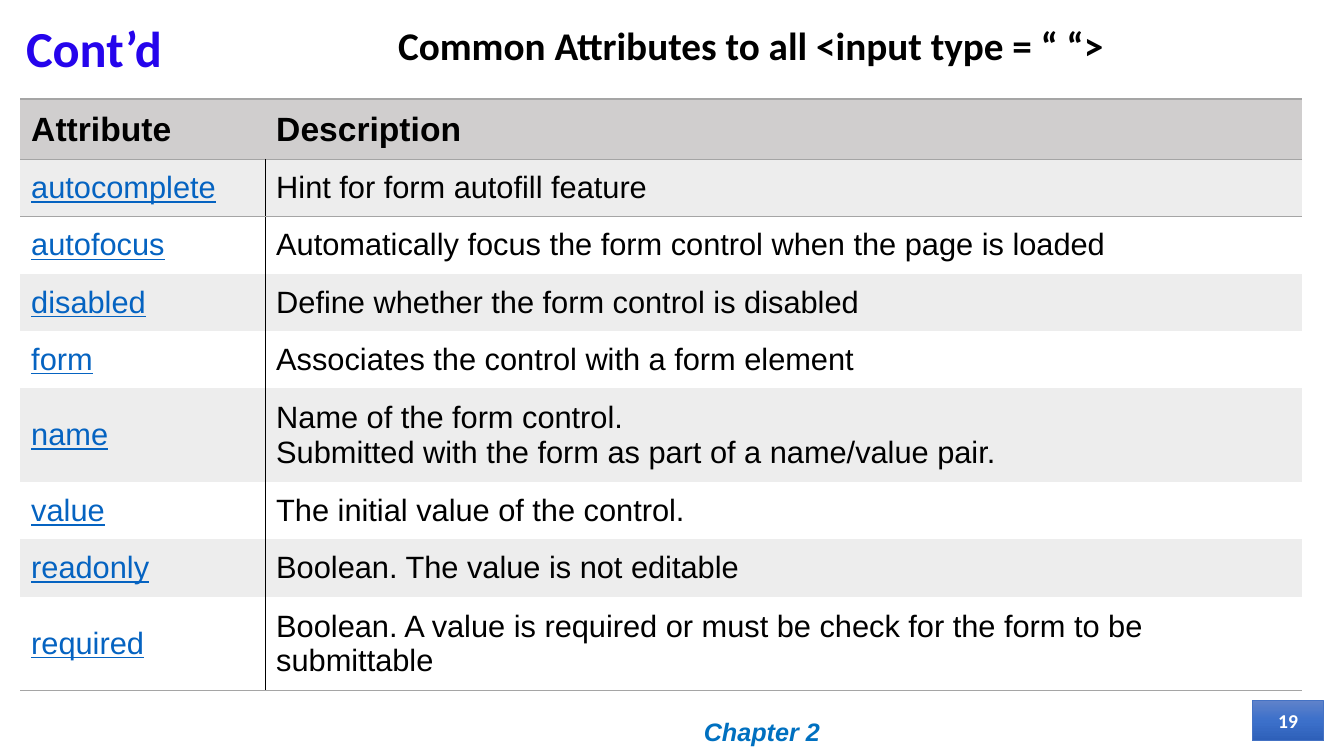
import copy
import dataclasses

import pptx
import pptx.dml.color
import pptx.enum.shapes
import pptx.enum.text
import pptx.oxml
import pptx.oxml.ns
import pptx.util

ALIGN = pptx.enum.text.PP_ALIGN
ANCHOR = pptx.enum.text.MSO_ANCHOR
PLAIN_TABLE = "{2D5ABB26-0587-4C30-8999-92F81FD0307C}"


def rgb(code):
    return pptx.dml.color.RGBColor.from_string(code)


@dataclasses.dataclass(frozen=True)
class Theme:
    heading_font: str = "Calibri"
    body_font: str = "Arial"
    title_size: int = 36
    subject_size: int = 28
    header_size: int = 24
    body_size: int = 22
    footer_size: int = 18
    number_size: int = 14
    title: str = "2504EC"
    ink: str = "000000"
    link: str = "0563C1"
    footer: str = "0070C0"
    number: str = "FFFFFF"
    badge_line: str = "4472C4"
    badge_stops: tuple = ((0, "5F82CA"), (0.5, "3C70CA"), (1, "2E60B9"))
    header_fill: str = "D0CECE"
    band: str = "EDEDED"
    rule: str = "A5A5A5"


class SlideBuilder:
    """Draws on one slide; positions and sizes are percentages of the slide."""

    def __init__(self, deck, theme):
        self.theme = theme
        self.width, self.height = deck.slide_width, deck.slide_height
        self.slide = deck.slides.add_slide(deck.slide_layouts[6])

    def x(self, share):
        return round(self.width * share / 100)

    def y(self, share):
        return round(self.height * share / 100)

    def box(self, left, top, width, height):
        return self.x(left), self.y(top), self.x(width), self.y(height)

    def fill_text(self, frame, lines, color, align=ALIGN.LEFT, **font):
        frame.word_wrap = True
        for index, line in enumerate(lines):
            paragraph = frame.add_paragraph() if index else frame.paragraphs[0]
            paragraph.alignment = align
            run = paragraph.add_run()
            run.text = line
            run.font.color.rgb = rgb(color)
            for name, value in font.items():
                setattr(run.font, name, value)

    def text(self, place, content, color, anchor=ANCHOR.MIDDLE, **style):
        frame = self.slide.shapes.add_textbox(*self.box(*place)).text_frame
        frame.vertical_anchor = anchor
        self.fill_text(frame, [content], color, **style)
        return frame.paragraphs[0]

    def badge(self, place, content, **style):
        badge = self.slide.shapes.add_shape(
            pptx.enum.shapes.MSO_SHAPE.RECTANGLE, *self.box(*place))
        badge.shadow.inherit = False
        badge.line.color.rgb = rgb(self.theme.badge_line)
        badge.line.width = pptx.util.Pt(0.75)
        badge.fill.gradient()
        badge.fill.gradient_angle = 270
        # A third colour stop joins the two default ones
        first_stop = next(badge._element.spPr.iter(pptx.oxml.ns.qn("a:gs")))
        first_stop.addnext(copy.deepcopy(first_stop))
        for stop, (position, color) in zip(badge.fill.gradient_stops, self.theme.badge_stops):
            stop.position = position
            stop.color.rgb = rgb(color)
        badge.text_frame.vertical_anchor = ANCHOR.MIDDLE
        self.fill_text(badge.text_frame, [content], self.theme.number, ALIGN.CENTER, **style)

    def border(self, cell, sides):
        """Sides maps lnL, lnR, lnT, lnB, in that order, to a colour."""
        properties = cell._tc.get_or_add_tcPr()
        for index, (side, color) in enumerate(sides.items()):
            properties.insert(index, pptx.oxml.parse_xml(
                f'<a:{side} {pptx.oxml.ns.nsdecls("a")} w="12700"><a:solidFill>'
                f'<a:srgbClr val="{color}"/></a:solidFill></a:{side}>'))

    def table(self, left, top, columns, heights, rows):
        theme = self.theme
        table = self.slide.shapes.add_table(
            len(rows), len(columns),
            *self.box(left, top, sum(columns), sum(heights))).table
        table.first_row = table.horz_banding = False
        table._tbl.tblPr.find(pptx.oxml.ns.qn("a:tableStyleId")).text = PLAIN_TABLE
        for column, share in zip(table.columns, columns):
            column.width = self.x(share)
        for row, share in zip(table.rows, heights):
            row.height = self.y(share)

        for r, row in enumerate(rows):
            header = r == 0
            for c, content in enumerate(row):
                cell = table.cell(r, c)
                margin = pptx.util.Inches(0.11)
                layout = dict(vertical_anchor=ANCHOR.MIDDLE, margin_left=margin,
                              margin_right=margin, margin_top=pptx.util.Inches(0.1),
                              margin_bottom=pptx.util.Inches(0.1))
                for name, value in layout.items():
                    setattr(cell, name, value)
                if header or r % 2:
                    cell.fill.solid()
                    cell.fill.fore_color.rgb = rgb(theme.header_fill if header else theme.band)
                else:
                    cell.fill.background()

                link = c == 0 and not header
                size = theme.header_size if header else theme.body_size
                self.fill_text(cell.text_frame, content.split("\n"),
                               theme.link if link else theme.ink, name=theme.body_font,
                               size=pptx.util.Pt(size), bold=header, underline=link)

                sides = {} if header else {("lnR", "lnL")[c]: theme.ink}
                if r in (0, 1):
                    sides["lnT"] = theme.rule
                if r in (0, len(rows) - 1):
                    sides["lnB"] = theme.rule
                self.border(cell, sides)


ATTRIBUTES = [
    ("Attribute", "Description"),
    ("autocomplete", "Hint for form autofill feature"),
    ("autofocus", "Automatically focus the form control when the page is loaded"),
    ("disabled", "Define whether the form control is disabled"),
    ("form", "Associates the control with a form element"),
    ("name", "Name of the form control.\n"
             "Submitted with the form as part of a name/value pair."),
    ("value", "The initial value of the control."),
    ("readonly", "Boolean. The value is not editable"),
    ("required", "Boolean. A value is required or must be check for the form to be submittable"),
]


def main():
    deck = pptx.Presentation()
    deck.slide_width = pptx.util.Inches(13.33)
    deck.slide_height = pptx.util.Inches(7.5)
    theme = Theme()
    page = SlideBuilder(deck, theme)

    # Title and subject
    title = page.text((1.2, 2.27, 87.92, 9.07), "Cont’d", theme.title,
                      name=theme.heading_font, size=pptx.util.Pt(theme.title_size), bold=True)
    title.line_spacing = 0.9
    subject = page.text((28.43, 2.13, 55.89, 8.53),
                        "Common Attributes to all <input type = “ “>", theme.ink, ANCHOR.TOP,
                        name=theme.heading_font, size=pptx.util.Pt(theme.subject_size), bold=True)
    subject._p.get_or_add_pPr().set("marL", str(pptx.util.Inches(0.06)))

    # Attribute table: header, one-line rows and two-line rows
    one_line, two_lines = 7.41, 11.9
    tall_rows = ("name", "required")
    heights = [7.73] + [two_lines if attribute in tall_rows else one_line
                        for attribute, _ in ATTRIBUTES[1:]]
    page.table(1.5, 13.1, (18.23, 77.12), heights, ATTRIBUTES)

    # Footer and slide number
    page.text((44.19, 94.13, 25, 5.33), "Chapter 2", theme.footer, align=ALIGN.CENTER,
              name=theme.body_font, size=pptx.util.Pt(theme.footer_size), bold=True, italic=True)
    page.badge((93.17, 92.67, 5.33, 5.33), "19", name=theme.heading_font,
               size=pptx.util.Pt(theme.number_size), bold=True)

    deck.save("out.pptx")


if __name__ == "__main__":
    main()
